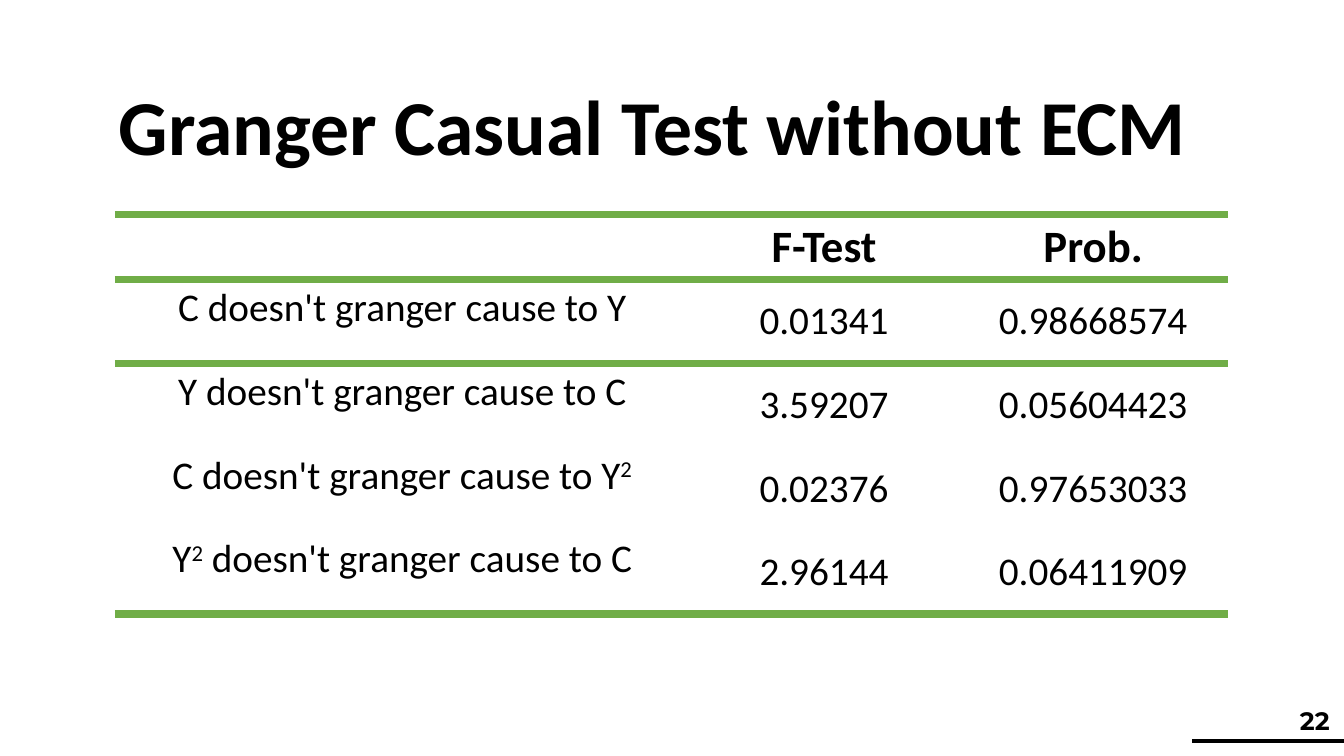
from lxml import etree
from pptx import Presentation
from pptx.dml.color import RGBColor
from pptx.enum.shapes import MSO_CONNECTOR
from pptx.enum.text import MSO_ANCHOR, PP_ALIGN
from pptx.oxml.ns import qn
from pptx.util import Pt

BLACK = RGBColor(0x00, 0x00, 0x00)
GREEN = RGBColor(0x70, 0xAD, 0x47)
STRAIGHT = MSO_CONNECTOR.STRAIGHT
TOP, MIDDLE = MSO_ANCHOR.TOP, MSO_ANCHOR.MIDDLE
LEFT, CENTER, RIGHT = PP_ALIGN.LEFT, PP_ALIGN.CENTER, PP_ALIGN.RIGHT

COLUMN_WIDTHS = (410.4, 192.24, 192.24)
HEADER_HEIGHT, ROW_HEIGHT = 46, 59.76
RULED_EDGES = (0, 1, 2, 5)
RULE_WIDTH = 6
SUPERSCRIPT = "²"
RESULTS = (
    ("", "F-Test", "Prob."),
    ("C doesn't granger cause to Y", "0.01341", "0.98668574"),
    ("Y doesn't granger cause to C", "3.59207", "0.05604423"),
    ("C doesn't granger cause to Y²", "0.02376", "0.97653033"),
    ("Y² doesn't granger cause to C", "2.96144", "0.06411909"),
)


def style_paragraph(paragraph, size, bold, alignment, font_name="Calibri"):
    """Set the alignment and font of a paragraph."""
    paragraph.alignment = alignment
    font = paragraph.font
    font.name, font.size, font.bold = font_name, Pt(size), bold
    font.color.rgb = BLACK


def add_text(slide, box, text, size, alignment, anchor, font_name="Calibri"):
    """Add a bold one-paragraph text box and return its paragraph."""
    frame = slide.shapes.add_textbox(*map(Pt, box)).text_frame
    frame.word_wrap = True
    frame.vertical_anchor = anchor
    paragraph = frame.paragraphs[0]
    paragraph.text = text
    style_paragraph(paragraph, size, True, alignment, font_name)
    return paragraph


def add_footer_line(slide, left, right, y):
    """Add the thick black line under the page number."""
    line = slide.shapes.add_connector(STRAIGHT, Pt(left), Pt(y), Pt(right), Pt(y))
    line.line.color.rgb = BLACK
    line.line.width = Pt(3)
    etree.SubElement(line._element.spPr, qn("a:effectLst"))


def set_borders(cell, ruled_sides):
    """Draw green rules on the given sides and clear the other sides."""
    properties = cell._tc.get_or_add_tcPr()
    for side in "LRTB":
        border = etree.SubElement(properties, qn(f"a:ln{side}"))
        if side in ruled_sides:
            border.set("w", str(Pt(RULE_WIDTH)))
            fill = etree.SubElement(border, qn("a:solidFill"))
            etree.SubElement(fill, qn("a:srgbClr"), val=str(GREEN))
        else:
            etree.SubElement(border, qn("a:noFill"))


def write_cell(cell, text, size, bold, anchor):
    """Write centred cell text, raising the superscript digit."""
    paragraph = cell.text_frame.paragraphs[0]
    before, mark, after = text.partition(SUPERSCRIPT)
    for part in filter(None, (before, mark, after)):
        run = paragraph.add_run()
        run.text = part
        if part == SUPERSCRIPT:
            run.text = "2"
            run._r.get_or_add_rPr().set("baseline", "30000")
    style_paragraph(paragraph, size, bold, CENTER)
    cell.vertical_anchor = anchor


def add_results_table(slide, left, top):
    """Add the table of test results with its horizontal rules."""
    height = HEADER_HEIGHT + ROW_HEIGHT * (len(RESULTS) - 1)
    table = slide.shapes.add_table(
        len(RESULTS), len(COLUMN_WIDTHS),
        Pt(left), Pt(top), Pt(sum(COLUMN_WIDTHS)), Pt(height),
    ).table
    table.first_row = table.horz_banding = False
    for column, width in zip(table.columns, COLUMN_WIDTHS):
        column.width = Pt(width)
    for row_index, values in enumerate(RESULTS):
        header = row_index == 0
        table.rows[row_index].height = Pt(HEADER_HEIGHT if header else ROW_HEIGHT)
        ruled_sides = [side for side, edge in (("T", row_index), ("B", row_index + 1))
                       if edge in RULED_EDGES]
        for column_index, value in enumerate(values):
            cell = table.cell(row_index, column_index)
            anchor = TOP if header or column_index == 0 else MIDDLE
            write_cell(cell, value, 32 if header else 28, header, anchor)
            set_borders(cell, ruled_sides)
            cell.fill.background()


def main():
    """Build the slide and save it."""
    presentation = Presentation()
    presentation.slide_width, presentation.slide_height = Pt(960), Pt(540)
    slide = presentation.slides.add_slide(presentation.slide_layouts[6])
    add_footer_line(slide, 851.76, 960, 529.2)
    add_results_table(slide, 82.08, 153.36)
    add_text(slide, (740.88, 500.4, 216, 28.8), "22", 18, RIGHT, TOP, "Montserrat")
    title = add_text(slide, (77.76, 41.04, 828, 104.4),
                     "Granger Casual Test without ECM", 55.5, LEFT, MIDDLE)
    title.line_spacing = 0.9
    presentation.save("out.pptx")


if __name__ == "__main__":
    main()
